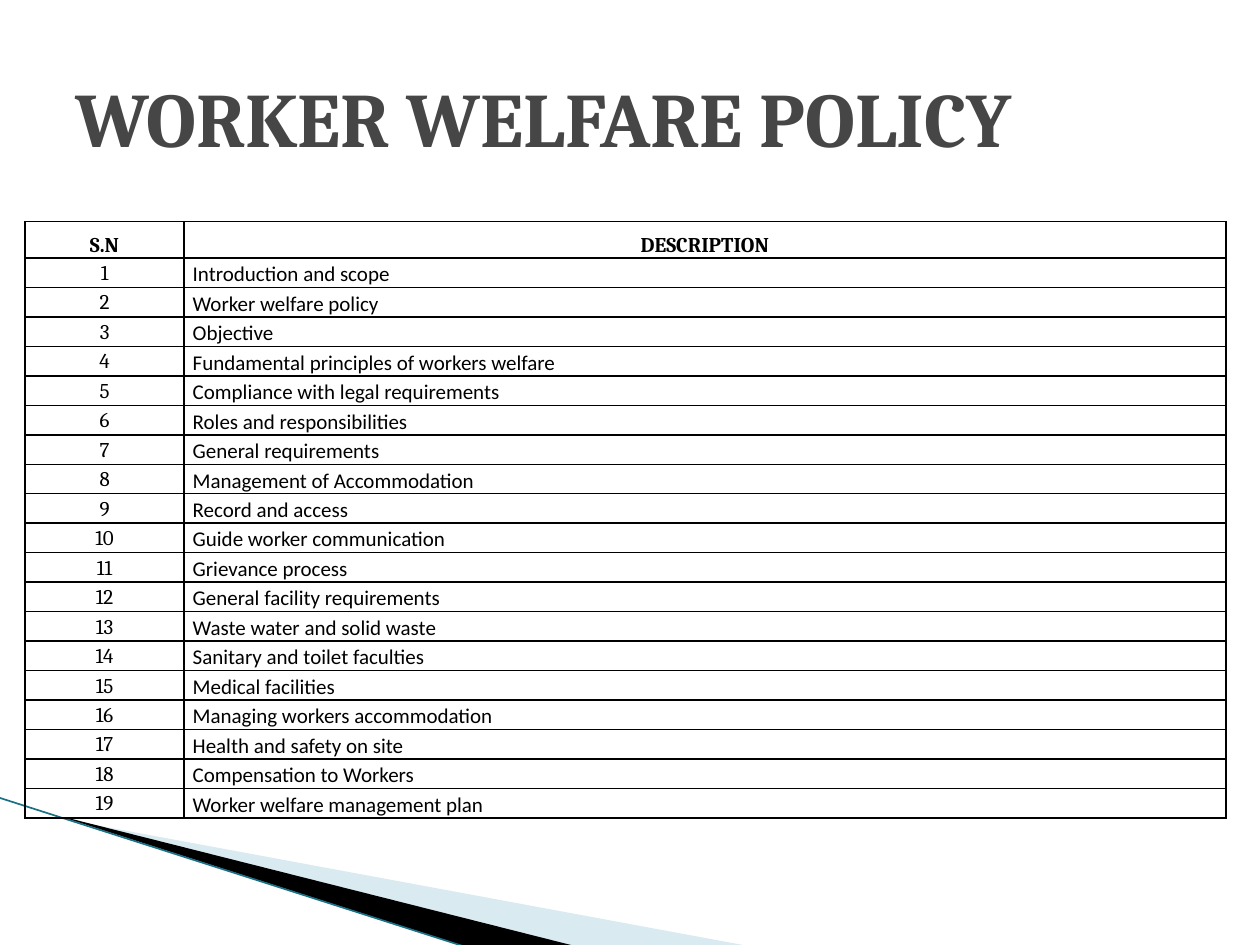
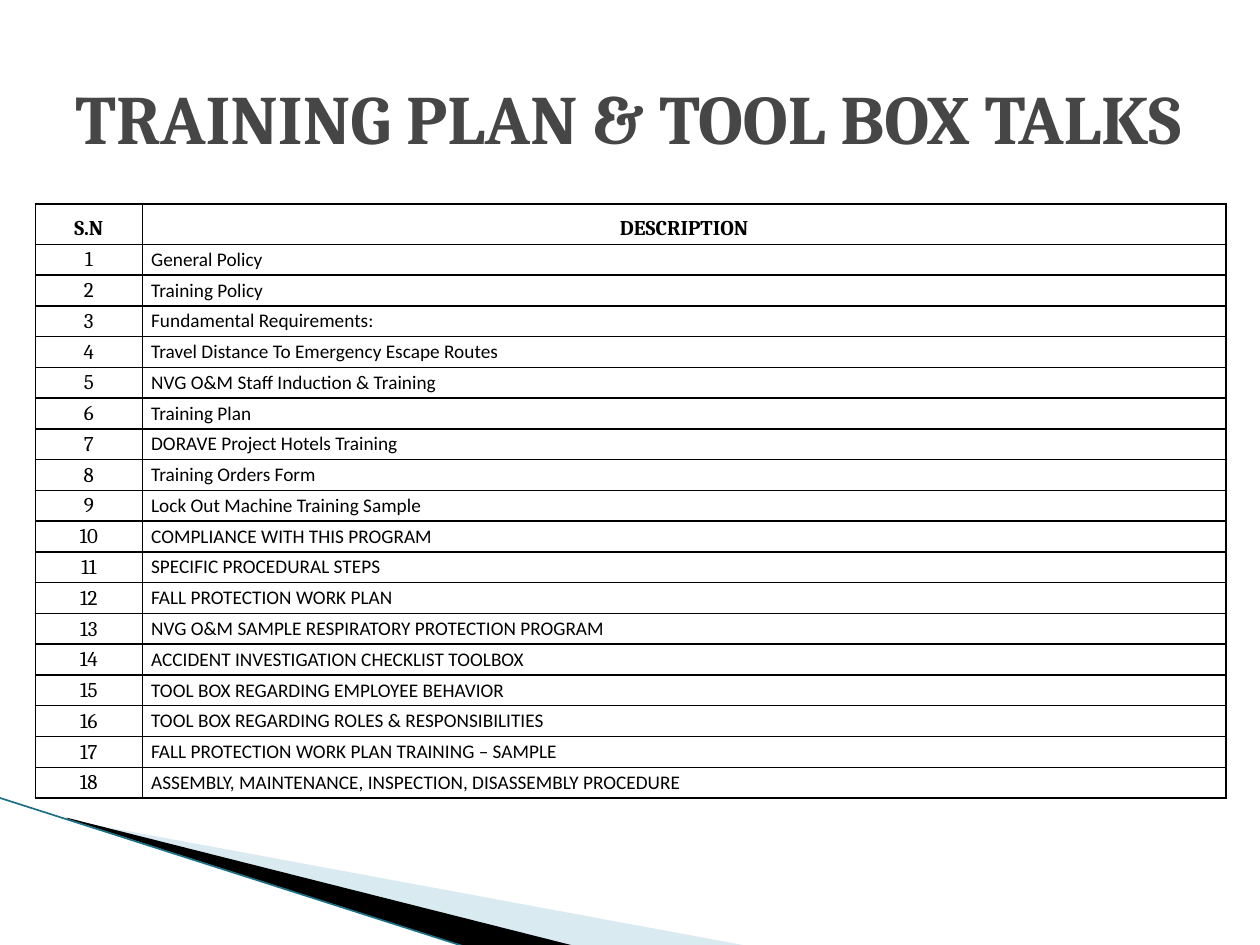
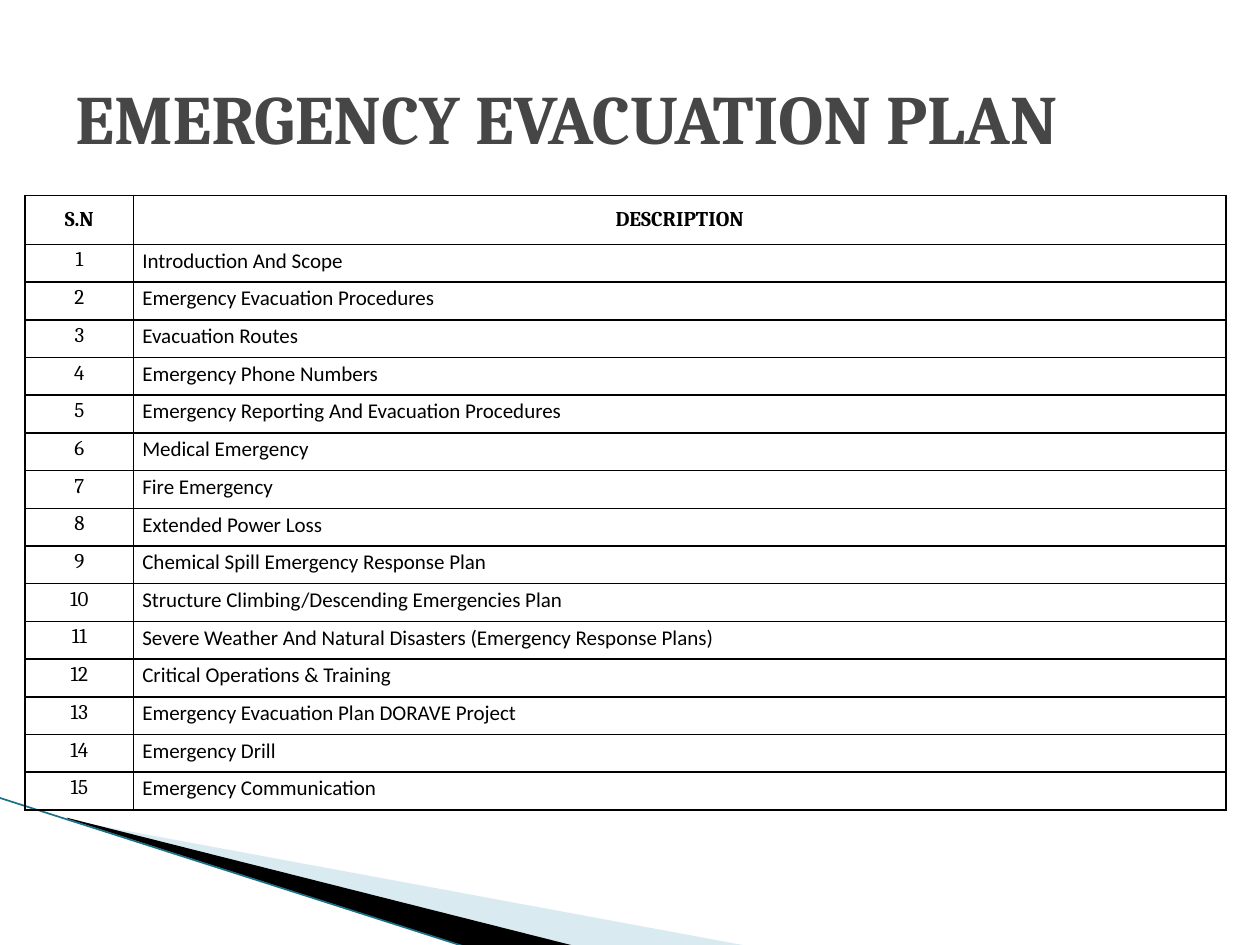
from lxml import etree
from pptx import Presentation
from pptx.dml.color import RGBColor
from pptx.enum.shapes import MSO_CONNECTOR as Conn
from pptx.enum.text import MSO_ANCHOR as Anchor, PP_ALIGN as Align
from pptx.oxml.ns import qn
from pptx.util import Inches, Pt

INK, GREY, PALE, TEAL = "000000", "464646", "A0CBDC", "1A7084"
HEAD, BODY = "Cambria", "Calibri"
TITLE_BOX = (0.5, 0.3, 9, 1.25)
PALE_BAND = [(0.55, 6.51), (5.95, 7.51), (4.56, 7.51), (0.55, 6.5)]
DARK_BAND = [(0.53, 6.49), (4.57, 7.51), (3.72, 7.52), (0.54, 6.5)]
EDGE = (-0.01, 6.33, 3.71, 7.52)

WELFARE = [
    "Introduction and scope", "Worker welfare policy", "Objective",
    "Fundamental principles of workers welfare",
    "Compliance with legal requirements", "Roles and responsibilities",
    "General requirements", "Management of Accommodation",
    "Record and access", "Guide worker communication", "Grievance process",
    "General facility requirements", "Waste water and solid waste",
    "Sanitary and toilet faculties", "Medical facilities",
    "Managing workers accommodation", "Health and safety on site",
    "Compensation to Workers", "Worker welfare management plan",
]
TRAINING = [
    "General Policy", "Training Policy", "Fundamental Requirements:",
    "Travel Distance To Emergency Escape Routes",
    "NVG O&M Staff Induction & Training", "Training Plan",
    "DORAVE Project Hotels Training", "Training Orders Form",
    "Lock Out Machine Training Sample", "COMPLIANCE WITH THIS PROGRAM",
    "SPECIFIC PROCEDURAL STEPS", "FALL PROTECTION WORK PLAN",
    "NVG O&M SAMPLE RESPIRATORY PROTECTION PROGRAM",
    "ACCIDENT INVESTIGATION CHECKLIST TOOLBOX",
    "TOOL BOX REGARDING EMPLOYEE BEHAVIOR",
    "TOOL BOX REGARDING ROLES & RESPONSIBILITIES",
    "FALL PROTECTION WORK PLAN TRAINING – SAMPLE",
    "ASSEMBLY, MAINTENANCE, INSPECTION, DISASSEMBLY PROCEDURE",
]
EVACUATION = [
    "Introduction And Scope", "Emergency Evacuation Procedures",
    "Evacuation Routes", "Emergency Phone Numbers",
    "Emergency Reporting And Evacuation Procedures", "Medical Emergency",
    "Fire Emergency", "Extended Power Loss",
    "Chemical Spill Emergency Response Plan",
    "Structure Climbing/Descending Emergencies Plan",
    "Severe Weather And Natural Disasters (Emergency Response Plans)",
    "Critical Operations & Training",
    "Emergency Evacuation Plan DORAVE Project", "Emergency Drill",
    "Emergency Communication",
]


def paint(fmt, color):
    """Give a fill or a font colour from a hex string."""
    if hasattr(fmt, "solid"):
        fmt.solid()
        fmt = fmt.fore_color
    fmt.rgb = RGBColor.from_string(color)


def write(frame, text, size=12, font=HEAD, color=INK, bold=False,
          align=Align.LEFT, space=1.0):
    """Put one formatted paragraph in a text frame."""
    para = frame.paragraphs[0]
    para.alignment, para.line_spacing = align, space
    run = para.add_run()
    run.text = text
    run.font.size, run.font.name, run.font.bold = Pt(size), font, bold
    paint(run.font.color, color)


def add_band(slide, points, color, alpha=None):
    """Draw a filled wedge through the points."""
    spots = [(Inches(x), Inches(y)) for x, y in points]
    maker = slide.shapes.build_freeform(*spots[0])
    maker.add_line_segments(spots[1:], close=True)
    band = maker.convert_to_shape()
    band.shadow.inherit = False
    band.line.fill.background()
    paint(band.fill, color)
    if alpha:
        tint = band.fill._xPr.find(".//" + qn("a:srgbClr"))
        etree.SubElement(tint, qn("a:alpha"), val=str(alpha * 1000))


def add_decor(slide):
    """Draw the corner wedges and their edge line."""
    add_band(slide, PALE_BAND, PALE, alpha=40)
    add_band(slide, DARK_BAND, INK)
    edge = slide.shapes.add_connector(Conn.STRAIGHT, *map(Inches, EDGE))
    edge.line.width = Pt(0.95)
    paint(edge.line.fill, TEAL)
    etree.SubElement(edge._element.spPr, qn("a:effectLst"))


def add_title(slide, box, text, size):
    """Place the slide title in its box."""
    frame = slide.shapes.add_textbox(*map(Inches, box)).text_frame
    frame.word_wrap = True
    frame.vertical_anchor = Anchor.MIDDLE
    write(frame, text, size=size, color=GREY, bold=True)


def style_cell(cell):
    """Give a cell black borders, no fill and tight margins."""
    props = cell._tc.get_or_add_tcPr()
    for side in ("lnL", "lnR", "lnT", "lnB"):
        line = etree.SubElement(props, qn("a:" + side), w=str(Pt(1)))
        fill = etree.SubElement(line, qn("a:solidFill"))
        etree.SubElement(fill, qn("a:srgbClr"), val=INK)
    cell.fill.background()
    cell.margin_left = cell.margin_right = Inches(0.07)
    cell.margin_top = cell.margin_bottom = 0
    cell.vertical_anchor = Anchor.TOP


def add_list(slide, box, items, first, top, size, align):
    """Place a numbered table: first is column one, top the header height."""
    left, upper, width, height = box
    table = slide.shapes.add_table(
        len(items) + 1, 2, *map(Inches, box)).table
    table.first_row = table.horz_banding = False
    table.columns[0].width = Inches(first)
    table.columns[1].width = Inches(width - first)
    step = (height - top) / len(items)
    rows = [("S.N", "DESCRIPTION")]
    rows += [(str(num), item) for num, item in enumerate(items, 1)]
    for num, (row, texts) in enumerate(zip(table.rows, rows)):
        row.height = Inches(step if num else top)
        for col, (cell, text) in enumerate(zip(row.cells, texts)):
            style_cell(cell)
            look = dict(align=Align.CENTER, space=1.15 if num else 1.5,
                        bold=not num)
            if num and col:
                look.update(font=BODY, size=size, align=align)
            write(cell.text_frame, text, **look)


def add_page(deck, title, big, box, items, first, top, size=12,
             align=Align.JUSTIFY):
    """Build one slide with decor, list and title."""
    slide = deck.slides.add_slide(deck.slide_layouts[6])
    add_decor(slide)
    add_list(slide, box, items, first, top, size, align)
    add_title(slide, TITLE_BOX, title, big)


def main():
    """Build the deck and save it."""
    deck = Presentation()
    deck.slide_width, deck.slide_height = Inches(10), Inches(7.5)
    add_page(deck, "WORKER WELFARE POLICY", 44,
             (0.2, 1.76, 9.53, 4.67), WELFARE, 1.26, 0.28)
    add_page(deck, "TRAINING PLAN & TOOL BOX TALKS", 39.6,
             (0.28, 1.62, 9.45, 4.72), TRAINING, 0.85, 0.32,
             size=11, align=Align.LEFT)
    add_page(deck, "EMERGENCY EVACUATION PLAN", 39.6,
             (0.2, 1.55, 9.53, 4.88), EVACUATION, 0.86, 0.39)
    deck.save("out.pptx")


main()
